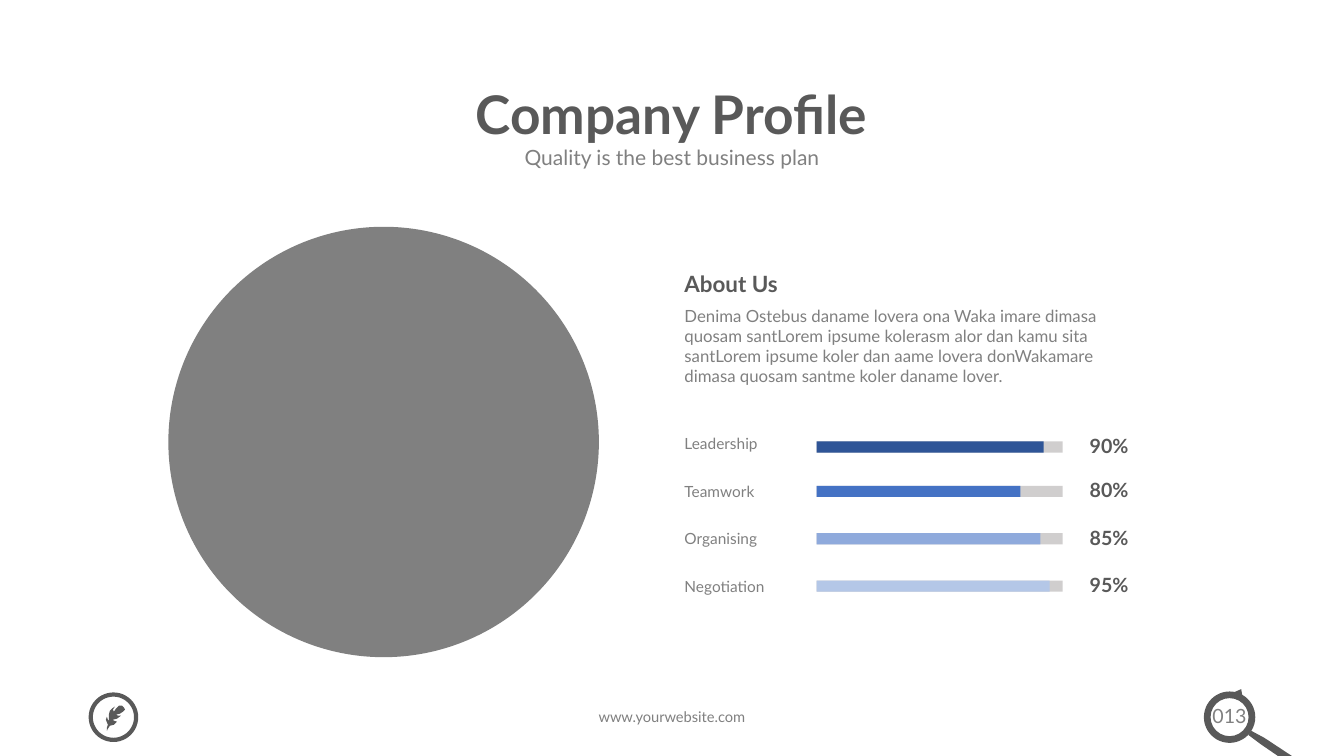
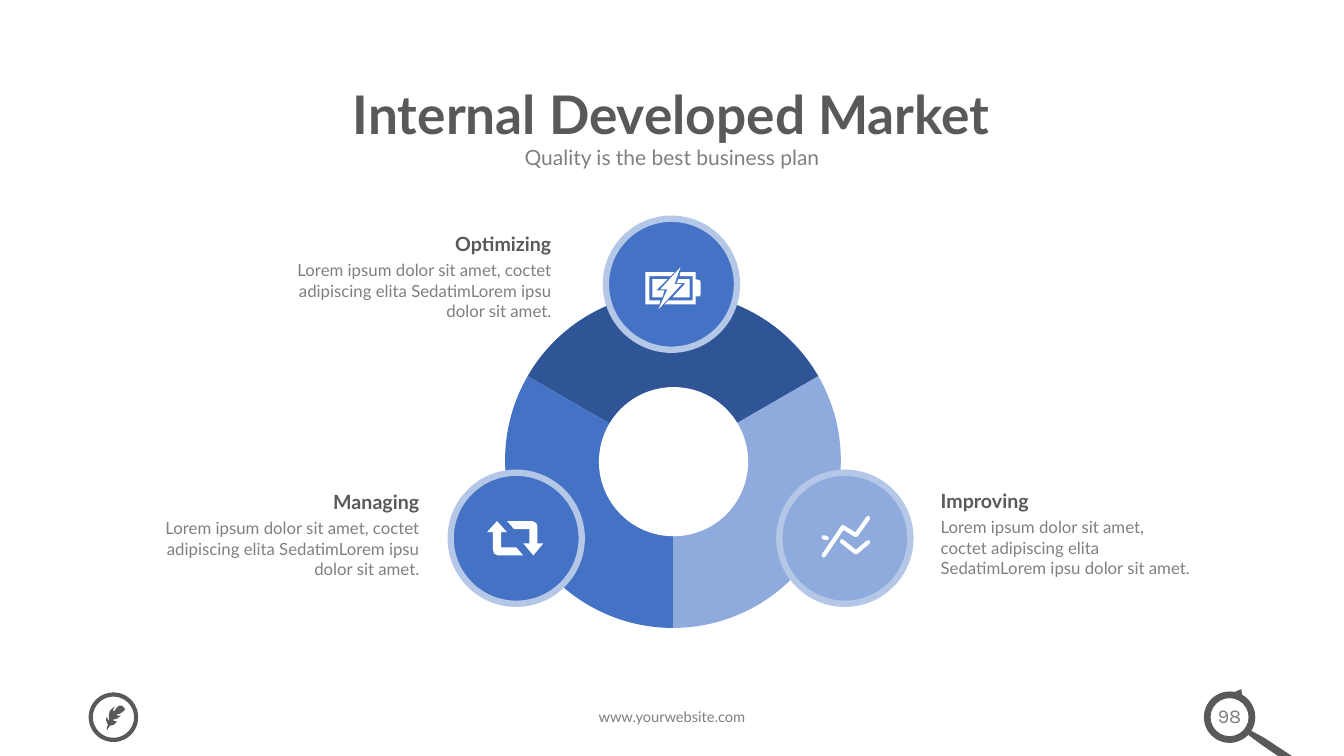
from pptx import Presentation
from pptx.dml.color import RGBColor
from pptx.enum.shapes import MSO_SHAPE
from pptx.enum.text import MSO_ANCHOR, MSO_AUTO_SIZE, PP_ALIGN
from pptx.oxml.ns import qn
from pptx.util import Pt

PX = 9144  # EMU per px, 100 px to the inch
LEFT, CENTER, RIGHT = PP_ALIGN.LEFT, PP_ALIGN.CENTER, PP_ALIGN.RIGHT
TOP, MIDDLE = MSO_ANCHOR.TOP, MSO_ANCHOR.MIDDLE
RECT, OVAL, PIE = MSO_SHAPE.RECTANGLE, MSO_SHAPE.OVAL, MSO_SHAPE.PIE
DONUT, ARROW = MSO_SHAPE.DONUT, MSO_SHAPE.RIGHT_ARROW

COLORS = {
    "dark": "595959",
    "gray": "808080",
    "track": "D0CECE",
    "navy": "2F5597",
    "blue": "4472C4",
    "sky": "8FAADC",
    "pale": "B4C7E7",
    "white": "FFFFFF",
}


def write(page, text, box, *, shape=None, size=12, color="gray", bold=False,
          align=LEFT, font="Lato", anchor=TOP, inset=(10, 5), spacing=None):
    """Put text in a new text box, or in the given shape; box is in px."""
    left, top, width, height = [value * PX for value in box]
    if shape is None:
        shape = page.shapes.add_textbox(left, top, width, height)
    else:
        shape.left, shape.top, shape.width, shape.height = left, top, width, height
    frame = shape.text_frame
    frame.text = text
    frame.word_wrap = True
    frame.auto_size = MSO_AUTO_SIZE.NONE
    frame.vertical_anchor = anchor
    frame.margin_left = frame.margin_right = inset[0] * PX
    frame.margin_top = frame.margin_bottom = inset[1] * PX
    for para in frame.paragraphs:
        para.alignment = align
        if spacing:
            para.line_spacing = spacing
        for span in para.runs:
            span.font.name = font
            span.font.size = Pt(size)
            span.font.bold = bold
            span.font.color.rgb = RGBColor.from_string(COLORS[color])


def draw(page, geometry, box=None, *, fill=None, line=None, weight=0, adjust=()):
    """Draw a preset shape in a box, or a list of points (closed when filled)."""
    if box:
        shape = page.shapes.add_shape(geometry, *[value * PX for value in box])
    else:
        builder = page.shapes.build_freeform(*geometry[0], scale=PX)
        builder.add_line_segments(geometry[1:], close=fill is not None)
        shape = builder.convert_to_shape()
    shape.shadow.inherit = False
    for index, value in enumerate(adjust):
        shape.adjustments[index] = value
    if fill:
        shape.fill.solid()
        shape.fill.fore_color.rgb = RGBColor.from_string(COLORS[fill])
    else:
        shape.fill.background()
    if line:
        shape.line.color.rgb = RGBColor.from_string(COLORS[line])
        shape.line.width = Pt(weight)
    else:
        shape.line.fill.background()
    return shape


deck = Presentation()
deck.slide_width, deck.slide_height = 1333 * PX, 750 * PX

# Shared title, subtitle and footer
HANDLE = [(1241, 725), (1254, 732), (1292, 757), (1293, 760),
          (1291, 764), (1288, 764), (1250, 738), (1238, 729)]
FEATHER = [(106, 725), (107, 723), (109, 720), (113, 719), (116, 716), (113, 715),
           (112, 714), (116, 713), (120, 710), (117, 710), (115, 709), (119, 708),
           (122, 706), (124, 704), (123, 702), (121, 700), (118, 700), (115, 703),
           (113, 706), (112, 704), (114, 701), (111, 703), (109, 705), (108, 709),
           (108, 715), (107, 714), (106, 711), (105, 714), (107, 719), (106, 722)]
pages = []
for title, number, number_font in (
    ("Company Profile", "013", "Lato"),
    ("Internal Developed Market", "98", "Karla"),
):
    page = deck.slides.add_slide(deck.slide_layouts[5])
    pages.append(page)
    write(page, title, (166, 75, 1000, 82), shape=page.shapes.title, size=38,
          color="dark", bold=True, align=CENTER, anchor=MIDDLE, spacing=0.9)
    write(page, "Quality is the best business plan", (267, 136, 799, 39),
          size=15, align=CENTER, inset=(13, 7))
    write(page, "www.yourwebsite.com", (425, 697, 483, 29), size=10.5, align=CENTER)
    write(page, number, (1189, 693, 61, 34), size=14, align=CENTER, font=number_font)
    draw(page, DONUT, (1194, 686, 51, 51), fill="dark", adjust=(0.13,))
    pointer = draw(page, ARROW, (1223, 683, 11, 11), fill="dark", adjust=(0.32, 0.64))
    pointer.rotation = 298.7
    draw(page, HANDLE, fill="dark")
    draw(page, OVAL, (90, 689, 45, 45), line="dark", weight=3)
    draw(page, FEATHER, fill="dark")

profile, market = pages

# Company profile
draw(profile, OVAL, (167, 225, 427, 427), fill="gray")
write(profile, "About Us", (669, 263, 429, 37), size=16, color="dark", bold=True)
write(profile,
      "Denima Ostebus daname lovera ona Waka imare dimasa quosam santLorem ipsume "
      "kolerasm alor dan kamu sita\n"
      "santLorem ipsume koler dan aame lovera donWakamare dimasa quosam santme "
      "koler daname lover.",
      (669, 298, 429, 91))

SKILLS = (
    ("Leadership", "90%", 438, 225, "navy"),
    ("Teamwork", "80%", 482, 202, "blue"),
    ("Organising", "85%", 529, 222, "sky"),
    ("Negotiation", "95%", 576, 231, "pale"),
)
for index, (skill, share, bar_top, bar_width, color) in enumerate(SKILLS):
    write(profile, skill, (669, 426 + index * 142 // 3, 154, 29), size=11)
    draw(profile, RECT, (810, bar_top, 244, 11), fill="track")
    draw(profile, RECT, (810, bar_top, bar_width, 11), fill=color)
    write(profile, share, (1046, bar_top - 6, 108, 27), size=14, color="dark",
          bold=True, align=CENTER, spacing=0.7)

# Internal developed market
for start, color in ((210, "navy"), (330, "sky"), (90, "blue")):
    end = (start + 120) % 360
    # Adjustments count 100000 to one, angles 60000 to a degree
    draw(market, PIE, (501, 290, 333, 333), fill=color,
         adjust=(start * 0.6, end * 0.6))
draw(market, OVAL, (594, 384, 148, 148), fill="white")

BODY = ("Lorem ipsum dolor sit amet, coctet adipiscing elita SedatimLorem ipsu "
        "dolor sit amet.")
STAGES = (
    ("Optimizing", (290, 230, 257), RIGHT, (601, 217), "blue"),
    ("Improving", (933, 485, 248), LEFT, (773, 469), "sky"),
    ("Managing", (159, 486, 257), RIGHT, (447, 469), "blue"),
)
for heading, (left, top, width), align, (disc_left, disc_top), color in STAGES:
    write(market, heading, (left, top, width, 24), size=14, color="dark",
          bold=True, align=align, inset=(0, 0))
    write(market, BODY, (left, top + 28, width, 61), align=align, inset=(0, 0))
    draw(market, OVAL, (disc_left, disc_top, 130, 130), fill=color,
         line="pale", weight=4.5)

BATTERY = (
    [(644, 298), (644, 274), (665, 274), (669, 270), (640, 270), (640, 302),
     (654, 302), (655, 298)],
    [(690, 277), (690, 270), (675, 270), (674, 274), (687, 274), (687, 298),
     (663, 298), (659, 302), (690, 302), (690, 294), (694, 294), (695, 292),
     (695, 280), (694, 278)],
    [(647, 277), (647, 295), (657, 295), (659, 288), (651, 288), (662, 277)],
    [(680, 281), (667, 295), (684, 295), (684, 277), (673, 277), (671, 281)],
    [(669, 282), (675, 265), (655, 287), (662, 287), (653, 307), (676, 282)],
)
CYCLE = (
    [(533, 539), (533, 522), (532, 519), (528, 517), (503, 517), (510, 525),
     (525, 525), (525, 539), (519, 539), (529, 551), (539, 539)],
    [(497, 543), (497, 528), (503, 528), (493, 517), (483, 528), (489, 528),
     (489, 545), (490, 549), (494, 551), (519, 551), (512, 543)],
)
for outline in BATTERY + CYCLE:
    draw(market, outline, fill="white")

TRENDS = (
    [(817, 551), (836, 523), (849, 531), (861, 514)],
    [(835, 537), (849, 548), (861, 538)],
    [(817, 533), (820, 534)],
)
for points in TRENDS:
    trend = draw(market, points, line="white", weight=3)
    trend.element.spPr.find(qn("a:ln")).set("cap", "rnd")

deck.save("out.pptx")
